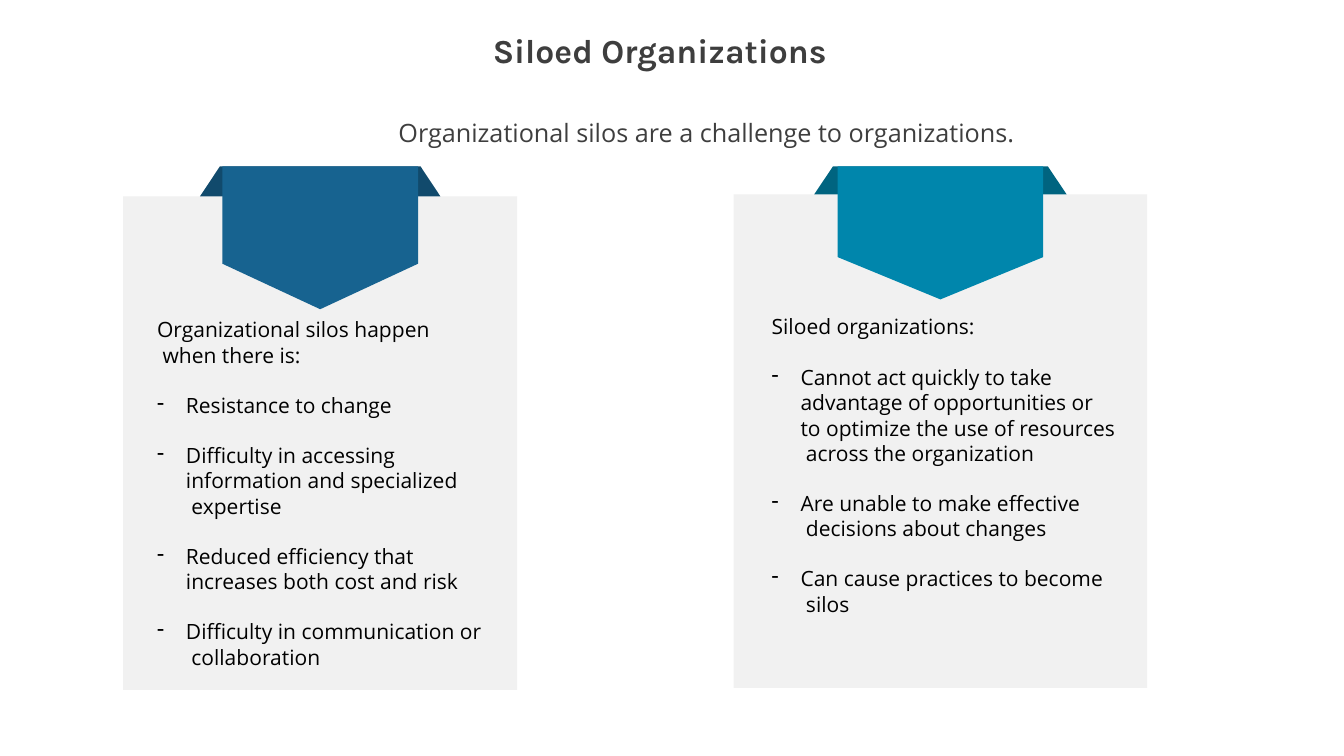
"""Build the slide on siloed organizations: two ribboned cards with dashed lists."""
from lxml import etree
from pptx import Presentation
from pptx import util as u
from pptx.dml.color import RGBColor
from pptx.enum import shapes, text
from pptx.oxml.ns import qn

COLORS = {"heading": "3E3E3E", "body": "000000", "card": "F1F1F1"}
TITLE = "Siloed Organizations"
SUBTITLE = "Organizational silos are a challenge to organizations."
RIBBON_TOP = 5.59
INDENT = 0.97
CARDS = [
    {
        "center": 10.76, "top": 6.6, "half": 6.62, "height": 16.58,
        "fold": (3.37, 4.04), "fold_color": "114A6C",
        "banner": (3.29, 8.86, 10.39), "banner_color": "176390",
        "text_left": 5.28, "lead_top": 10.62, "lead_size": (9.17, 1.78),
        "list_top": 13.16, "list_size": (11.2, 9.4),
        "lead": "Organizational silos happen\v when there is:",
        "points": [
            "Resistance to change",
            "Difficulty in accessing\vinformation and specialized\v expertise",
            "Reduced efficiency that\vincreases both cost and risk",
            "Difficulty in communication or\v collaboration",
        ],
    },
    {
        "center": 31.6, "top": 6.53, "half": 6.95, "height": 16.58,
        "fold": (3.61, 4.24), "fold_color": "006480",
        "banner": (3.45, 8.64, 10.06), "banner_color": "0086AC",
        "text_left": 25.93, "lead_top": 10.52, "lead_size": (6.88, 0.91),
        "list_top": 12.22, "list_size": (11.9, 8.53),
        "lead": "Siloed organizations:",
        "points": [
            "Cannot act quickly to take\vadvantage of opportunities or\v"
            "to optimize the use of resources\v across the organization",
            "Are unable to make effective\v decisions about changes",
            "Can cause practices to become\v silos",
        ],
    },
]


def paint(shape, color):
    shape.shadow.inherit = False
    shape.fill.solid()
    shape.fill.fore_color.rgb = RGBColor.from_string(color)
    shape.line.fill.background()


def add_outline(slide, points, color):
    start, *rest = [(u.Cm(x), u.Cm(y)) for x, y in points]
    builder = slide.shapes.build_freeform(*start)
    builder.add_line_segments(rest, close=True)
    paint(builder.convert_to_shape(), color)


def add_dash(paragraph):
    properties = paragraph._p.get_or_add_pPr()
    properties.set("marL", str(u.Cm(INDENT)))
    properties.set("indent", str(-u.Cm(INDENT)))
    etree.SubElement(properties, qn("a:buChar")).set("char", "-")


def add_text(slide, left, top, size, lines, points, color, font="Open Sans", bold=False, dashed=False):
    box = slide.shapes.add_textbox(u.Cm(left), u.Cm(top), *map(u.Cm, size))
    frame = box.text_frame
    frame.word_wrap = True
    frame.vertical_anchor = text.MSO_ANCHOR.TOP
    frame.margin_left = frame.margin_right = frame.margin_bottom = 0
    frame.margin_top = u.Cm(0.03)
    for index, line in enumerate(lines):
        paragraph = frame.paragraphs[0] if index == 0 else frame.add_paragraph()
        paragraph.text = line
        paragraph.space_before = u.Pt(23.8 if index else 1)
        paragraph.font.name = font
        paragraph.font.size = u.Pt(points)
        paragraph.font.bold = bold
        paragraph.font.color.rgb = RGBColor.from_string(COLORS[color])
        if dashed:
            add_dash(paragraph)


def add_card(slide, card):
    center, top, half = card["center"], card["top"], card["half"]
    panel = slide.shapes.add_shape(
        shapes.MSO_SHAPE.RECTANGLE,
        u.Cm(center - half), u.Cm(top), u.Cm(2 * half), u.Cm(card["height"]))
    paint(panel, COLORS["card"])

    inner, outer = card["fold"]
    add_outline(slide, [(center + inner, RIBBON_TOP), (center - inner, RIBBON_TOP),
                        (center - outer, top), (center + outer, top)], card["fold_color"])
    width, shoulder, tip = card["banner"]
    add_outline(slide, [(center + width, RIBBON_TOP), (center - width, RIBBON_TOP),
                        (center - width, shoulder), (center, tip),
                        (center + width, shoulder)], card["banner_color"])

    left = card["text_left"]
    add_text(slide, left, card["lead_top"], card["lead_size"], [card["lead"]], 20, "body")
    add_text(slide, left, card["list_top"], card["list_size"], card["points"], 20, "body", dashed=True)


def main():
    deck = Presentation()
    deck.slide_width, deck.slide_height = u.Cm(45.16), u.Cm(25.4)
    slide = deck.slides.add_slide(deck.slide_layouts[6])
    add_text(slide, 16.56, 0.97, (12.09, 1.42), [TITLE], 32, "heading", font="Karla", bold=True)
    for card in CARDS:
        add_card(slide, card)
    add_text(slide, 13.39, 3.91, (20.83, 1.09), [SUBTITLE], 24, "heading")
    deck.save("out.pptx")


if __name__ == "__main__":
    main()
